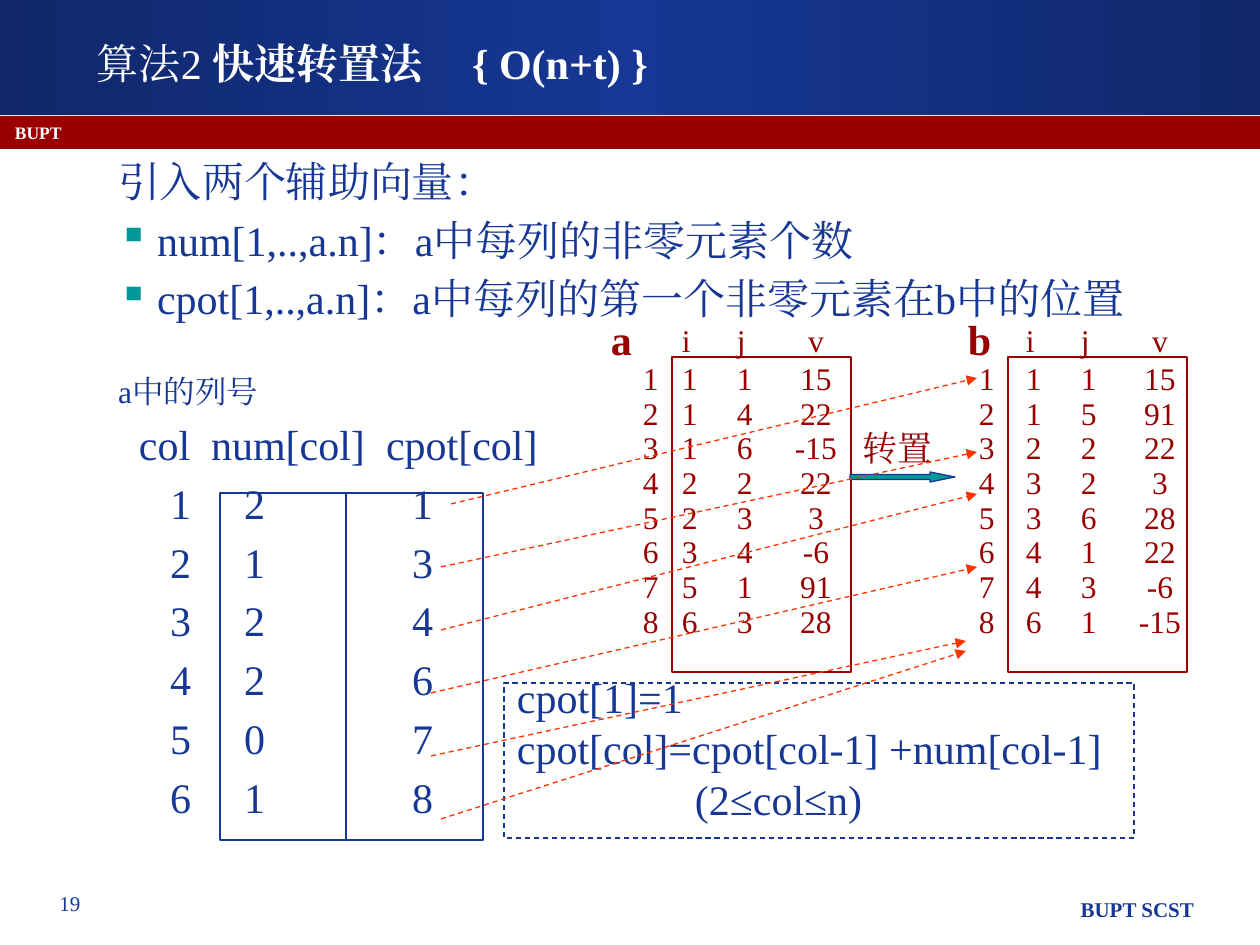
from copy import deepcopy
from dataclasses import dataclass

from lxml.etree import SubElement
from pptx import Presentation
from pptx.dml.color import RGBColor
from pptx.enum.dml import MSO_LINE
from pptx.enum.shapes import MSO_CONNECTOR, MSO_SHAPE
from pptx.enum.text import MSO_ANCHOR, PP_ALIGN
from pptx.oxml.ns import qn
from pptx.util import Pt

PX = 7257.14  # EMU in one px, 126 px to the inch


def emu(px):
    return round(px * PX)


@dataclass(frozen=True)
class Theme:
    font: str = "Times New Roman"
    navy: str = "163794"
    deep_navy: str = "10276A"
    red: str = "990000"
    teal: str = "009999"
    orange: str = "FF3300"
    white: str = "FFFFFF"
    large: int = 24
    medium: int = 20
    normal: int = 18
    footer: int = 12
    small: int = 10
    line: float = 0.75


@dataclass
class Line:
    """One paragraph; tabs are (px, alignment) pairs, spacing is in points."""
    text: str
    size: int = Theme.large
    bold: bool = False
    tabs: tuple = ()
    bullet: bool = False
    spacing: float = None
    before: float = 0


class SlideBuilder:
    def __init__(self, slide, theme):
        self.slide = slide
        self.theme = theme

    def add_run(self, paragraph, text, size, color, bold=False):
        run = paragraph.add_run()
        run.text = text
        run.font.size = Pt(size)
        run.font.bold = bold
        run.font.color.rgb = RGBColor.from_string(color)
        run.font.name = self.theme.font
        SubElement(run.font._element, qn("a:ea"), typeface=self.theme.font)

    def add_tabs(self, paragraph, tabs):
        tab_list = SubElement(paragraph._p.get_or_add_pPr(), qn("a:tabLst"))
        for position, alignment in tabs:
            SubElement(tab_list, qn("a:tab"), pos=str(emu(position)), algn=alignment)

    def add_bullet(self, paragraph, indent=39):
        properties = paragraph._p.get_or_add_pPr()
        properties.set("marL", str(emu(indent)))
        properties.set("indent", str(-emu(indent)))
        color = SubElement(properties, qn("a:buClr"))
        SubElement(color, qn("a:srgbClr"), val=self.theme.teal)
        SubElement(properties, qn("a:buChar"), char="▪")

    def set_insets(self, frame, side, top):
        frame.margin_left = frame.margin_right = emu(side)
        frame.margin_top = frame.margin_bottom = emu(top)

    def add_lines(self, frame, lines, color, align=PP_ALIGN.LEFT):
        frame.word_wrap = True
        for index, line in enumerate(lines):
            paragraph = frame.add_paragraph() if index else frame.paragraphs[0]
            if line.bullet:
                self.add_bullet(paragraph)
            if line.tabs:
                self.add_tabs(paragraph, line.tabs)
            paragraph.alignment = align
            if line.spacing:
                paragraph.line_spacing = Pt(line.spacing)
            if line.before:
                paragraph.space_before = Pt(line.before)
            self.add_run(paragraph, line.text, line.size, color, line.bold)

    def text(self, box, lines, color, align=PP_ALIGN.LEFT, insets=(13, 6)):
        shape = self.slide.shapes.add_textbox(*map(emu, box))
        self.set_insets(shape.text_frame, *insets)
        self.add_lines(shape.text_frame, lines, color, align)

    def title(self, box, runs, tabs):
        shape = self.slide.shapes.title
        shape.left, shape.top, shape.width, shape.height = map(emu, box)
        frame = shape.text_frame
        self.set_insets(frame, 0, 0)
        frame.vertical_anchor = MSO_ANCHOR.MIDDLE
        paragraph = frame.paragraphs[0]
        self.add_tabs(paragraph, tabs)
        paragraph.alignment = PP_ALIGN.LEFT
        for text, bold in runs:
            self.add_run(paragraph, text, self.theme.large, self.theme.white, bold)

    def shape(self, box, fill=None, line=None, dash=False, kind=MSO_SHAPE.RECTANGLE):
        shape = self.slide.shapes.add_shape(kind, *map(emu, box))
        shape.shadow.inherit = False
        if fill:
            shape.fill.solid()
            shape.fill.fore_color.rgb = RGBColor.from_string(fill)
        else:
            shape.fill.background()
        if line:
            self.style_line(shape.line, line, dash)
        else:
            shape.line.fill.background()
        return shape

    def banner(self, box, colors):
        """Rectangle at the back with a gradient of three evenly spaced colours."""
        shape = self.shape(box)
        shape.fill.gradient()
        shape.fill.gradient_angle = 0
        stops = shape._element.spPr.find(qn("a:gradFill")).find(qn("a:gsLst"))
        stops.insert(1, deepcopy(stops[0]))
        for index, (stop, color) in enumerate(zip(shape.fill.gradient_stops, colors)):
            stop.position = index / 2
            stop.color.rgb = RGBColor.from_string(color)
        self.slide.shapes._spTree.insert(2, shape._element)

    def style_line(self, line, color, dash):
        line.color.rgb = RGBColor.from_string(color)
        line.width = Pt(self.theme.line)
        if dash:
            line.dash_style = MSO_LINE.DASH

    def connector(self, start, end, color, dash=False, arrow=False):
        connector = self.slide.shapes.add_connector(
            MSO_CONNECTOR.STRAIGHT, *map(emu, start + end))
        self.style_line(connector.line, color, dash)
        if arrow:
            SubElement(connector.line._get_or_add_ln(), qn("a:tailEnd"), type="triangle")
        SubElement(connector._element.spPr, qn("a:effectLst"))

    def triples(self, name, left, name_left, columns, rows):
        """Numbered list of (i, j, v) triples with a frame and a bold name."""
        theme = self.theme
        tabs = tuple(zip(columns, ("l", "l", "ctr")))
        texts = ["\ti\tj\tv"]
        texts += ["\t".join(map(str, (n, *row))) for n, row in enumerate(rows, 1)]
        lines = [Line(text, theme.normal, tabs=tabs, spacing=19.8,
                      before=2 if index == 1 else 0)
                 for index, text in enumerate(texts)]
        self.text((left, 324, 242, 346), lines, theme.red, insets=(0, 0))
        self.shape((left + 29, 357, 179, 315), line=theme.red)
        self.text((name_left, 308, 60, 63), [Line(name, bold=True)], theme.red)


def main():
    theme = Theme()
    presentation = Presentation()
    presentation.slide_width, presentation.slide_height = emu(1260), emu(945)
    slide = presentation.slides.add_slide(presentation.slide_layouts[5])
    builder = SlideBuilder(slide, theme)

    builder.banner((0, 0, 1260, 115), (theme.deep_navy, theme.navy, theme.deep_navy))
    builder.shape((0, 116, 1260, 33), fill=theme.red)
    builder.text((530, 891, 677, 44), [Line("BUPT SCST", theme.footer, bold=True)],
                 theme.navy, PP_ALIGN.RIGHT)
    builder.text((15, 885, 110, 44), [Line("19", theme.footer)],
                 theme.navy, PP_ALIGN.CENTER)
    builder.text((2, 116, 1166, 32), [Line("BUPT", theme.small, bold=True)], theme.white)
    builder.title((97, 26, 1037, 74),
                  (("算法2 ", False), ("快速转置法\t{ O(n+t) }", True)), ((375, "l"),))

    heading_tabs = ((21, "l"), (93, "l"), (268, "l"))
    row_tabs = ((52, "l"), (126, "l"), (294, "l"))
    pitch = 33.6
    body = [
        Line("引入两个辅助向量：", spacing=pitch),
        Line("num[1,..,a.n]：a中每列的非零元素个数", bullet=True, spacing=pitch),
        Line("cpot[1,..,a.n]：a中每列的第一个非零元素在b中的位置", bullet=True, spacing=pitch),
        Line("a中的列号", theme.normal, spacing=pitch, before=16),
        Line("\tcol\tnum[col]\tcpot[col]", tabs=heading_tabs, spacing=pitch),
    ]
    counts, starts = (2, 1, 2, 2, 0, 1), (1, 3, 4, 6, 7, 8)
    body += [Line(f"\t{col}\t{count}\t{start}", tabs=row_tabs, spacing=pitch)
             for col, (count, start) in enumerate(zip(counts, starts), 1)]
    builder.text((118, 147, 1079, 693), body, theme.navy, insets=(0, 0))

    formula = builder.shape((504, 683, 630, 155), line=theme.navy, dash=True)
    formula.text_frame.vertical_anchor = MSO_ANCHOR.TOP
    builder.set_insets(formula.text_frame, 13, 0)
    builder.add_lines(formula.text_frame, [
        Line("cpot[1]=1", spacing=22),
        Line("cpot[col]=cpot[col-1] +num[col-1]", spacing=29.4),
        Line("\t(2≤col≤n)", tabs=((178, "l"),), spacing=29.4),
    ], theme.navy)

    builder.shape((220, 493, 263, 347), line=theme.navy)
    builder.connector((346, 493), (346, 840), theme.navy)

    builder.triples("a", 643, 598, (39, 94, 173), (
        (1, 1, 15), (1, 4, 22), (1, 6, -15), (2, 2, 22),
        (2, 3, 3), (3, 4, -6), (5, 1, 91), (6, 3, 28)))
    arrow = builder.shape((850, 472, 105, 10), theme.teal, theme.navy,
                          kind=MSO_SHAPE.RIGHT_ARROW)
    arrow.adjustments[0], arrow.adjustments[1] = 0.5, 2.5
    builder.text((850, 420, 189, 54), [Line("转置", theme.medium)], theme.red)
    builder.triples("b", 979, 955, (47, 102, 181), (
        (1, 1, 15), (1, 5, 91), (2, 2, 22), (3, 2, 3),
        (3, 6, 28), (4, 1, 22), (4, 3, -6), (6, 1, -15)))

    start_lefts = (451, 441, 441, 431, 431, 441)
    targets = ((977, 378), (977, 452), (977, 494), (977, 567), (966, 641), (966, 651))
    for index, (left, target) in enumerate(zip(start_lefts, targets)):
        builder.connector((left, 504 + 63 * index), target, theme.orange,
                          dash=True, arrow=True)

    presentation.save("out.pptx")


if __name__ == "__main__":
    main()
